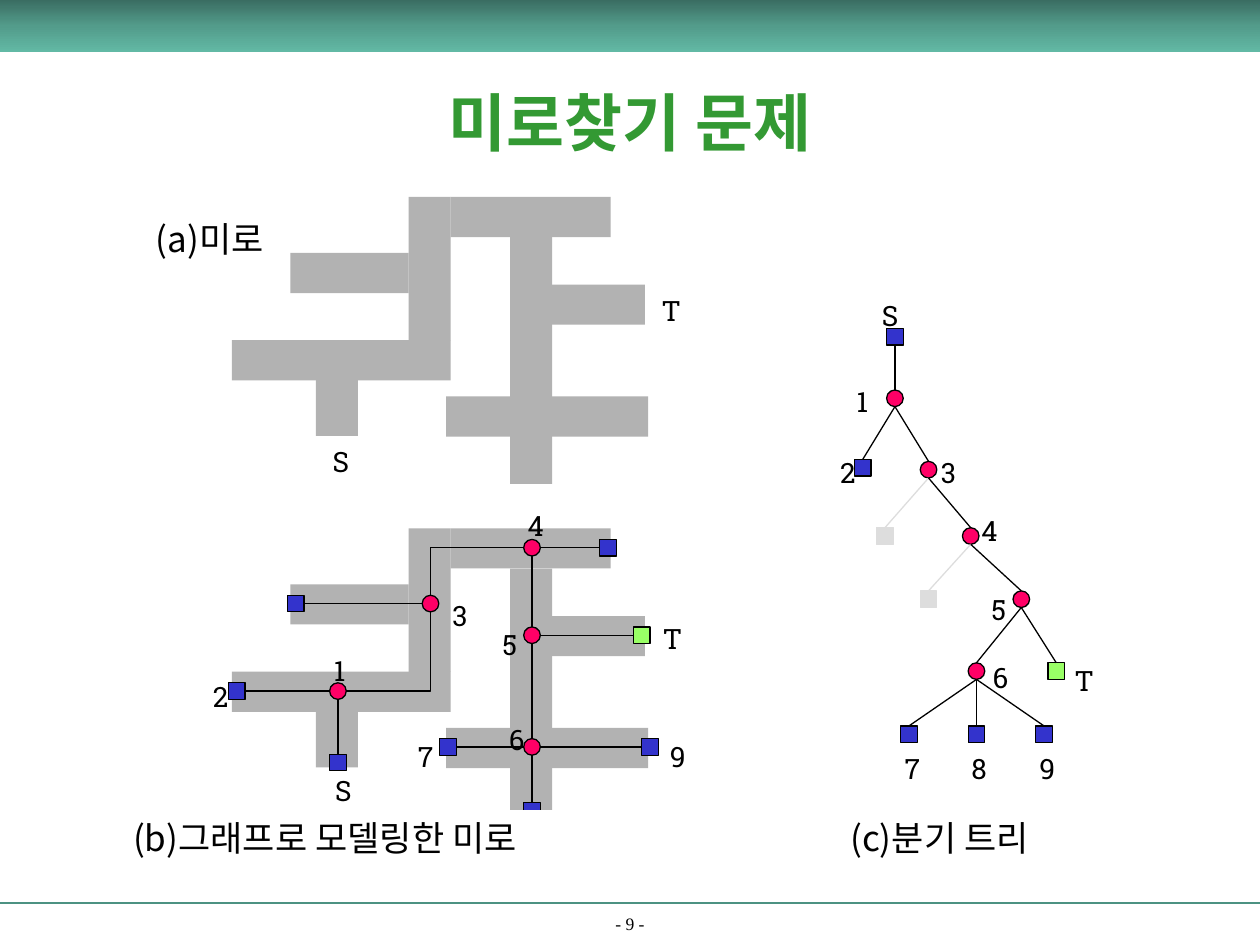
from copy import deepcopy

from lxml.etree import SubElement
from pptx import Presentation
from pptx.dml.color import RGBColor
from pptx.enum.shapes import MSO_CONNECTOR as CONN, MSO_SHAPE as SHAPE
from pptx.enum.text import MSO_ANCHOR as ANCHOR, MSO_AUTO_SIZE as AUTO, PP_ALIGN as ALIGN
from pptx.oxml.ns import qn
from pptx.util import Pt

BLACK = RGBColor(0x00, 0x00, 0x00)
WHITE = RGBColor(0xFF, 0xFF, 0xFF)
GREEN = RGBColor(0x33, 0x99, 0x33)
TEAL = RGBColor(0x4C, 0x92, 0x82)
BAND = [RGBColor(0x3A, 0x6D, 0x62), RGBColor(0x53, 0x9C, 0x8B), RGBColor(0x62, 0xB9, 0xA5)]
WALL = RGBColor(0xB2, 0xB2, 0xB2)
PINK = RGBColor(0xFF, 0x00, 0x66)
BLUE = RGBColor(0x33, 0x33, 0xCC)
LIME = RGBColor(0x99, 0xFF, 0x66)
PALE = RGBColor(0xDD, 0xDD, 0xDD)

SERIF, SLAB, HANGUL = "Times New Roman", "Roboto Slab", "Noto Sans CJK KR"
LABEL = {"name": SLAB, "size": Pt(16)}
CAPTION = {"name": HANGUL, "size": Pt(20)}
TITLE = {"name": SERIF, "size": Pt(36), "bold": True}
FOOTER = {"name": SERIF, "size": Pt(10)}

R = 4.75  # half the size of a node
MAZE_STEP = 189.4  # from maze (a) down to maze (b)
CORRIDORS = [  # left, top, width, height
    (254.9, 226.5, 115.5, 23), (180.5, 217.3, 24, 31.8), (233.5, 112.5, 24, 82),
    (166, 144.5, 67.5, 23), (257.5, 112.5, 91.5, 23), (291.5, 135.5, 24, 141),
    (315.5, 162.6, 53, 23), (132.5, 194.4, 125, 23),
]

# Each node: centre x, centre y, colour; pink ones are junctions
GRAPH = {
    "1": (193.1, 394.9, PINK), "3": (246, 344.9, PINK), "4": (304, 313, PINK),
    "5": (304, 363, PINK), "6": (304, 426.8, PINK), "S": (193.1, 435.7, BLUE),
    "2": (135.3, 394.9, BLUE), "3 end": (169, 344.9, BLUE), "4 end": (347.4, 313, BLUE),
    "7": (256, 426.8, BLUE), "8": (304, 463.4, BLUE), "9": (371.4, 426.8, BLUE),
    "T": (366.7, 363, LIME),
}
GRAPH_EDGES = ["2-1", "1-S", "3 end-3", "4-4 end", "5-T", "4-5", "5-6", "7-6", "6-9", "6-8"]
TREE = {
    "S": (511.4, 192.4, BLUE), "1": (511.4, 227.6, PINK), "2": (493, 267.3, BLUE),
    "3": (530.6, 268.4, PINK), "3 end": (505.7, 306.3, PALE), "4": (554.7, 306.3, PINK),
    "4 end": (530.6, 342.4, PALE), "5": (583.6, 342.4, PINK), "6": (558, 383.5, PINK),
    "T": (603.6, 383.5, LIME), "7": (519.4, 419.6, BLUE), "8": (558, 419.6, BLUE),
    "9": (596.6, 419.6, BLUE),
}
TREE_EDGES = ["S-1", "1-2", "1-3", "3-3 end", "3-4", "4-4 end", "4-5", "5-6", "5-T",
              "6-7", "6-8", "6-9"]

# Each label: text, left, top
MAZE_LABELS = [("S", 183, 250.5), ("T", 371, 164)]
GRAPH_LABELS = [
    ("S", 184.5, 438.5), ("T", 371.8, 351.5), ("1", 183.7, 370), ("2", 114.6, 385),
    ("3", 251.4, 338.3), ("4", 294.5, 286.8), ("5", 280, 355), ("6", 283.7, 409.6),
    ("7", 231.7, 419), ("9", 375.8, 419),
]
TREE_LABELS = [
    ("S", 496.8, 167), ("1", 482.4, 216), ("2", 473, 257), ("3", 530.6, 257),
    ("4", 553.7, 290), ("5", 559.4, 334.8), ("T", 607, 375.8), ("6", 560.2, 373.7),
    ("7", 509.8, 426.2), ("8", 548, 426.2), ("9", 586.8, 426.2),
]


class Page:
    """The current slide, with a method for each kind of element; lengths in points."""

    def __init__(self, prs):
        self.slide = prs.slides.add_slide(prs.slide_layouts[5])
        self.shapes = self.slide.shapes

    def fill_text(self, sp, text, fmt, color=BLACK, align=ALIGN.LEFT, anchor=ANCHOR.TOP):
        tf = sp.text_frame
        tf.vertical_anchor = anchor
        p = tf.paragraphs[0]
        p.alignment = align
        r = p.add_run()
        r.text = text
        for key, value in fmt.items():
            setattr(r.font, key, value)
        r.font.color.rgb = color
        SubElement(r.font._element, qn("a:ea"), typeface=HANGUL)

    def title(self, text, *box):
        sp = self.shapes.title
        for key, value in zip(("left", "top", "width", "height"), box):
            setattr(sp, key, Pt(value))
        self.fill_text(sp, text, TITLE, GREEN, ALIGN.CENTER, ANCHOR.MIDDLE)

    def text(self, text, left, top, width, height, fmt, fill=None):
        sp = self.shapes.add_textbox(*map(Pt, (left, top, width, height)))
        sp.text_frame.word_wrap = False
        sp.text_frame.auto_size = AUTO.SHAPE_TO_FIT_TEXT
        if fill is not None:
            sp.fill.solid()
            sp.fill.fore_color.rgb = fill
        self.fill_text(sp, text, fmt)

    def labels(self, items, width):
        for text, left, top in items:
            self.text(text, left, top, width, 26.6, LABEL)

    def footer(self, text, *box):
        sp = self.shapes.add_textbox(*map(Pt, box))
        sp.text_frame.word_wrap = True
        self.fill_text(sp, text, FOOTER, align=ALIGN.CENTER, anchor=ANCHOR.BOTTOM)

    def shape(self, kind, box, fill, line=None, parent=None):
        sp = (parent or self.shapes).add_shape(kind, *map(Pt, box))
        sp.shadow.inherit = False
        sp.fill.solid()
        sp.fill.fore_color.rgb = fill
        if line is None:
            sp.line.fill.background()
        else:
            sp.line.color.rgb = line
            sp.line.width = Pt(0.75)
        return sp

    def band(self, box, colors):
        """Rectangle shaded evenly from top to bottom through three colours."""
        sp = self.shape(SHAPE.RECTANGLE, box, colors[0])
        sp.fill.gradient()
        sp.fill.gradient_angle = 270
        first = sp.fill.gradient_stops[0]._gs
        first.addnext(deepcopy(first))
        for i, (stop, color) in enumerate(zip(sp.fill.gradient_stops, colors)):
            stop.position = i / 2
            stop.color.rgb = color

    def line(self, start, end, color=BLACK, width=0.75):
        c = self.shapes.add_connector(CONN.STRAIGHT, *map(Pt, (*start, *end)))
        c.line.color.rgb = color
        c.line.width = Pt(width)
        SubElement(c._element.spPr, qn("a:effectLst"))

    def elbow(self, start, *points):
        fb = self.shapes.build_freeform(*map(Pt, start))
        fb.add_line_segments([(Pt(x), Pt(y)) for x, y in points], close=False)
        sp = fb.convert_to_shape()
        sp.shadow.inherit = False
        sp.fill.background()
        sp.line.color.rgb = BLACK
        sp.line.width = Pt(0.75)

    def maze(self, dy):
        group = self.shapes.add_group_shape()
        for x, y, w, h in CORRIDORS:
            self.shape(SHAPE.RECTANGLE, (x, y + dy, w, h), WALL, parent=group.shapes)

    def nodes(self, nodes):
        for x, y, color in nodes.values():
            kind = SHAPE.OVAL if color == PINK else SHAPE.RECTANGLE
            line = PALE if color == PALE else BLACK
            self.shape(kind, (x - R, y - R, 2 * R, 2 * R), color, line)

    def graph_edges(self):
        """Join nodes side to side; each edge runs rightwards or downwards."""
        for edge in GRAPH_EDGES:
            (x1, y1, _), (x2, y2, _) = (GRAPH[name] for name in edge.split("-"))
            dx, dy = (R, 0) if y1 == y2 else (0, R)
            self.line((x1 + dx, y1 + dy), (x2 - dx, y2 - dy))
        (x1, y1, _), (x3, y3, _), (x4, y4, _) = (GRAPH[name] for name in "134")
        self.elbow((x1 + R, y1), (x3, y1), (x3, y3 + R))
        self.elbow((x3, y3 - R), (x3, y4), (x4 - R, y4))

    def tree_edges(self):
        """Join the bottom of each parent to the top of its child."""
        for edge in TREE_EDGES:
            (x1, y1, _), (x2, y2, color) = (TREE[name] for name in edge.split("-"))
            self.line((x1, y1 + R), (x2, y2 - R), PALE if color == PALE else BLACK)


def main():
    prs = Presentation()
    prs.slide_width, prs.slide_height = Pt(720), Pt(540)
    page = Page(prs)

    page.line((0, 516), (720, 516), TEAL, 1.5)
    page.footer("- 9 -", 0, 521.3, 720, 15.8)
    page.band((0, 0, 720, 30), BAND)
    page.title("미로찾기 문제", 54, 36, 612, 67)

    page.maze(0)
    page.labels(MAZE_LABELS, 24)
    page.text("(a)미로", 82, 121, 80.6, 31, CAPTION)

    page.maze(MAZE_STEP)
    page.nodes(GRAPH)
    page.graph_edges()
    page.labels(GRAPH_LABELS, 22.5)
    page.text("(b)그래프로 모델링한 미로", 69, 463, 255, 31, CAPTION, WHITE)

    page.nodes(TREE)
    page.tree_edges()
    page.labels(TREE_LABELS, 24.5)
    page.text("(c)분기 트리", 478.8, 463, 127.4, 31, CAPTION)

    prs.save("out.pptx")


if __name__ == "__main__":
    main()
